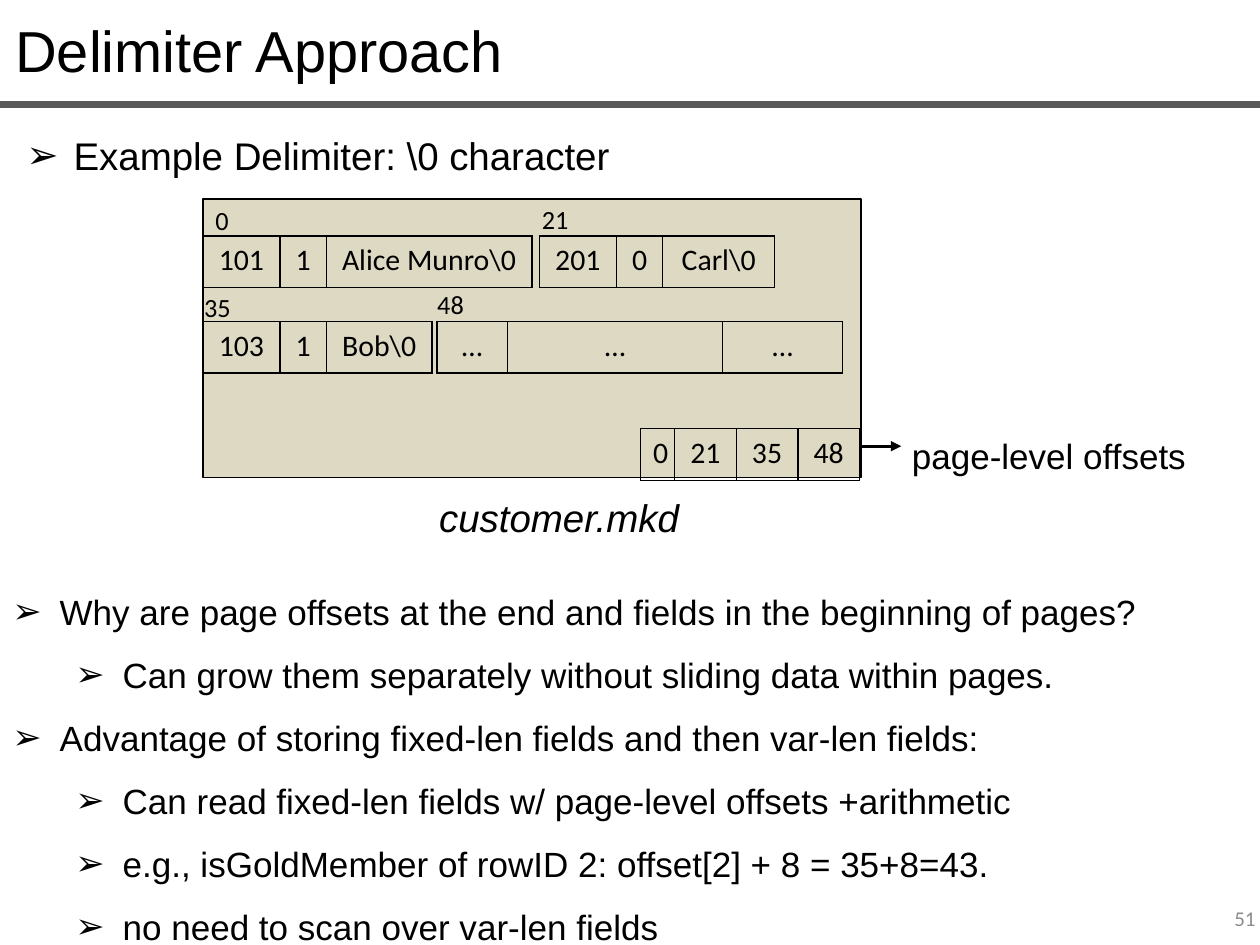
from lxml import etree
from pptx import Presentation
from pptx.dml.color import RGBColor
from pptx.enum import shapes, text
from pptx.oxml import ns
from pptx.util import Pt

BLACK = RGBColor(0x00, 0x00, 0x00)
RULE_GRAY = RGBColor(0x59, 0x59, 0x59)
NUMBER_GRAY = RGBColor(0x8C, 0x8C, 0x8C)
PAGE_TAN = RGBColor(0xDD, 0xD9, 0xC3)

LEFT = text.PP_ALIGN.LEFT
CENTER = text.PP_ALIGN.CENTER
RIGHT = text.PP_ALIGN.RIGHT
TOP = text.MSO_ANCHOR.TOP
MIDDLE = text.MSO_ANCHOR.MIDDLE

ROW_HEIGHT = 29.5
ID_WIDTH, FLAG_WIDTH, OFFSET_WIDTH = 44, 26.5, 35.25
PAGE_LEFT, FIRST_ROW, SECOND_ROW = 116, 134.75, 183.75


def add_element(parent, tag, **attributes):
    return etree.SubElement(parent, ns.qn(tag), **attributes)


class SlideBuilder:
    heading_font = "Arial"
    data_font = "Calibri"
    indent = 27
    level_step = 36

    def __init__(self, deck):
        self.page = deck.slides.add_slide(deck.slide_layouts[5])

    def add_span(self, para, words, size, font=None, color=BLACK, italic=False):
        span = para.add_run()
        span.text = words
        span.font.name = font or self.heading_font
        span.font.size = Pt(size)
        span.font.color.rgb = color
        span.font.italic = italic

    def title(self, words, left, top, width, height):
        box = self.page.shapes.title
        box.left, box.top, box.width, box.height = map(Pt, (left, top, width, height))
        frame = box.text_frame
        frame.auto_size = text.MSO_AUTO_SIZE.NONE
        frame.vertical_anchor = TOP
        frame.paragraphs[0].alignment = LEFT
        self.add_span(frame.paragraphs[0], words, 33)

    def frame(self, left, top, width, height, anchor=TOP):
        box = self.page.shapes.add_textbox(*map(Pt, (left, top, width, height)))
        box.text_frame.word_wrap = True
        box.text_frame.vertical_anchor = anchor
        return box.text_frame

    def label(self, words, place, size, align=LEFT, spacing=None, anchor=TOP, **style):
        para = self.frame(*place, anchor=anchor).paragraphs[0]
        para.alignment = align
        para.line_spacing = spacing
        self.add_span(para, words, size, **style)

    def bullets(self, items, place, size):
        frame = self.frame(*place)
        for index, (level, words) in enumerate(items):
            para = frame.add_paragraph() if index else frame.paragraphs[0]
            para.level = level
            para.line_spacing = 1.5
            properties = para._p.get_or_add_pPr()
            properties.set("marL", str(Pt(self.indent + level * self.level_step)))
            properties.set("indent", str(-Pt(self.indent)))
            add_element(properties, "a:buFont", typeface=self.heading_font)
            add_element(properties, "a:buChar", char="➢")
            self.add_span(para, words, size)

    def rectangle(self, left, top, width, height):
        box = self.page.shapes.add_shape(
            shapes.MSO_SHAPE.RECTANGLE, *map(Pt, (left, top, width, height)))
        box.shadow.inherit = False
        box.fill.solid()
        box.fill.fore_color.rgb = PAGE_TAN
        box.line.color.rgb = BLACK
        box.line.width = Pt(0.75)

    def line(self, start, end, color, width, arrow=False):
        connector = self.page.shapes.add_connector(
            shapes.MSO_CONNECTOR.STRAIGHT, *map(Pt, start + end))
        connector.line.color.rgb = color
        connector.line.width = Pt(width)
        properties = connector._element.spPr
        if arrow:
            add_element(properties.get_or_add_ln(), "a:tailEnd", type="triangle")
        add_element(properties, "a:effectLst")

    def border(self, cell):
        properties = cell._tc.get_or_add_tcPr()
        for index, side in enumerate(("lnL", "lnR", "lnT", "lnB")):
            edge = add_element(properties, f"a:{side}", w=str(Pt(1)))
            fill = add_element(edge, "a:solidFill")
            add_element(fill, "a:srgbClr", val=str(BLACK))
            properties.insert(index, edge)

    def record(self, left, top, fields):
        width = sum(field_width for _, field_width in fields)
        table = self.page.shapes.add_table(
            1, len(fields), *map(Pt, (left, top, width, ROW_HEIGHT))).table
        table.first_row = False
        table.horz_banding = False
        for index, (words, field_width) in enumerate(fields):
            table.columns[index].width = Pt(field_width)
            cell = table.cell(0, index)
            cell.fill.background()
            self.border(cell)
            para = cell.text_frame.paragraphs[0]
            para.alignment = CENTER
            self.add_span(para, words, 17, self.data_font)


def main():
    deck = Presentation()
    deck.slide_width, deck.slide_height = Pt(720), Pt(540)
    slide = SlideBuilder(deck)

    slide.title("Delimiter Approach", 1.5, 5, 718.5, 47.5)
    slide.line((0, 59.75), (720, 59.75), RULE_GRAY, 4.5)
    slide.label("51", (556.5, 510.5, 168, 28.75), 12, RIGHT, anchor=MIDDLE,
                font=slide.data_font, color=NUMBER_GRAY)
    slide.bullets([(0, r"Example Delimiter: \0 character")], (8, 59, 407, 42.5), 22)

    slide.rectangle(PAGE_LEFT, 113.75, 376, 159)
    customers = [
        (PAGE_LEFT, FIRST_ROW, "101", "1", r"Alice Munro\0", 117.5),
        (308.25, FIRST_ROW, "201", "0", r"Carl\0", 64),
        (PAGE_LEFT, SECOND_ROW, "103", "1", r"Bob\0", 60.5),
    ]
    for left, top, row_id, flag, name, name_width in customers:
        slide.record(left, top, [(row_id, ID_WIDTH), (flag, FLAG_WIDTH), (name, name_width)])
    slide.record(249.75, SECOND_ROW, [("…", width) for width in (40.25, 123, 68.5)])
    slide.record(366, 245, [("0", 19.5)] + [(n, OFFSET_WIDTH) for n in ("21", "35", "48")])

    for offset, left, top in [("0", 116, 113), ("21", 302.5, 112.5),
                              ("35", 109.5, 162.75), ("48", 242.75, 161.25)]:
        slide.label(offset, (left, top, 37, 25.25), 15, font=slide.data_font)

    slide.line((492.5, 255), (515, 255), BLACK, 1.5, arrow=True)
    slide.label("page-level offsets", (514, 232.5, 173.5, 39), 20, spacing=1.5)
    slide.label("customer.mkd", (124, 265.75, 391, 42.5), 22, CENTER, 1.5, italic=True)

    slide.bullets([
        (0, "Why are page offsets at the end and fields in the beginning of pages?"),
        (1, "Can grow them separately without sliding data within pages."),
        (0, "Advantage of storing fixed-len fields and then var-len fields:"),
        (1, "Can read fixed-len fields w/ page-level offsets +arithmetic"),
        (1, "e.g., isGoldMember of rowID 2: offset[2] + 8 = 35+8=43."),
        (1, "no need to scan over var-len fields"),
    ], (0, 321.75, 718.5, 221), 20)

    deck.save("out.pptx")


if __name__ == "__main__":
    main()
